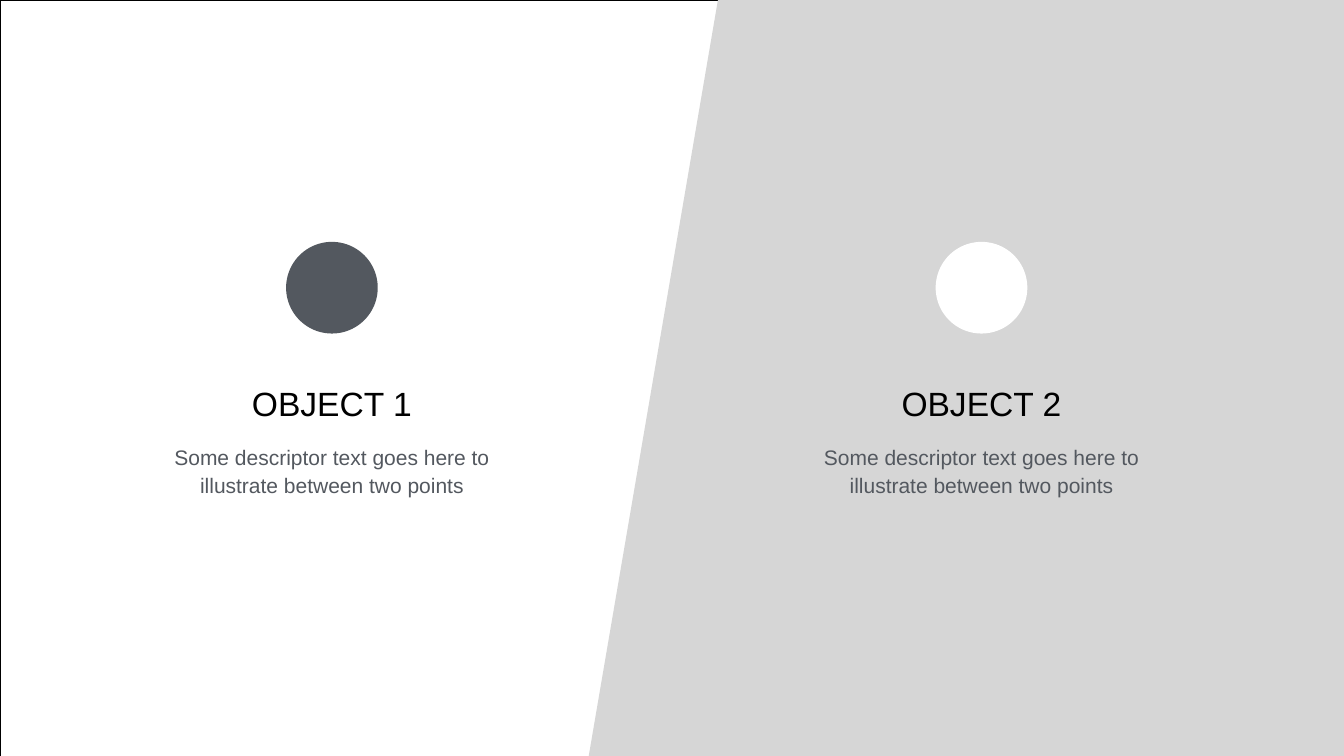
from pptx import Presentation
from pptx.dml.color import RGBColor as RGB
from pptx.enum.shapes import MSO_SHAPE as SHAPE
from pptx.enum.text import MSO_AUTO_SIZE as AUTO, PP_ALIGN as ALIGN
from pptx.util import Cm, Pt

THEME = {
    "font": "Arial",
    "background": RGB.from_string("00D5FF"),
    "white": RGB.from_string("FFFFFF"),
    "black": RGB.from_string("000000"),
    "panel": RGB.from_string("D6D6D6"),
    "slate": RGB.from_string("53585F"),
    "heading": Pt(48),
    "body": Pt(30),
}


def paint(sp, fill, line=None):
    sp.shadow.inherit = False
    sp.fill.solid()
    sp.fill.fore_color.rgb = fill
    if line is None:
        sp.line.fill.background()
    else:
        sp.line.color.rgb = line
        sp.line.width = Pt(1)


def add_text(s, text, centre, top, height, inset, spacing, size, color):
    sp = s.shapes.add_textbox(Cm(centre - TEXT_W / 2), Cm(top), Cm(TEXT_W), Cm(height))
    tf = sp.text_frame
    frame = {"word_wrap": True, "auto_size": AUTO.SHAPE_TO_FIT_TEXT}
    frame.update({f"margin_{side}": Cm(inset) for side in ("left", "top", "right", "bottom")})
    for name, value in frame.items():
        setattr(tf, name, value)
    p = tf.paragraphs[0]
    p.alignment, p.line_spacing = ALIGN.CENTER, spacing
    r = p.add_run()
    r.text = text
    for name, value in {"name": THEME["font"], "size": size}.items():
        setattr(r.font, name, value)
    r.font.color.rgb = color


# Slide
prs = Presentation()
prs.slide_width, prs.slide_height = Cm(67.74), Cm(38.1)
s = prs.slides.add_slide(prs.slide_layouts[6])
s.background.fill.solid()
s.background.fill.fore_color.rgb = THEME["background"]

# White base and slanted right panel
base = s.shapes.add_shape(SHAPE.ROUNDED_RECTANGLE, 0, 0, prs.slide_width, prs.slide_height)
base.adjustments[0] = 0
paint(base, THEME["white"], THEME["black"])

corners = [(Cm(x), Cm(y)) for x, y in
           [(29.57, 38.71), (36.22, -0.2), (88.7, -0.08), (82.85, 39.9)]]
outline = s.shapes.build_freeform(*corners[0])
outline.add_line_segments(corners[1:], close=True)
paint(outline.convert_to_shape(), THEME["panel"])

# The two compared objects: circle, heading, description
TEXT_W, CIRCLE = 18.06, 4.62
DESCRIPTION = "Some descriptor text goes here to illustrate between two points"
objects = [("OBJECT 1", 16.73, THEME["slate"]), ("OBJECT 2", 49.47, THEME["white"])]

for heading, centre, color in objects:
    circle = s.shapes.add_shape(SHAPE.OVAL, Cm(centre - CIRCLE / 2), Cm(12.19),
                                Cm(CIRCLE), Cm(CIRCLE))
    paint(circle, color)
    add_text(s, heading, centre, 19.71, 1.96, 0, 0.8, THEME["heading"], THEME["black"])
    add_text(s, DESCRIPTION, centre, 22.1, 3.07, 0.2, 1.1, THEME["body"], THEME["slate"])

prs.save("out.pptx")
